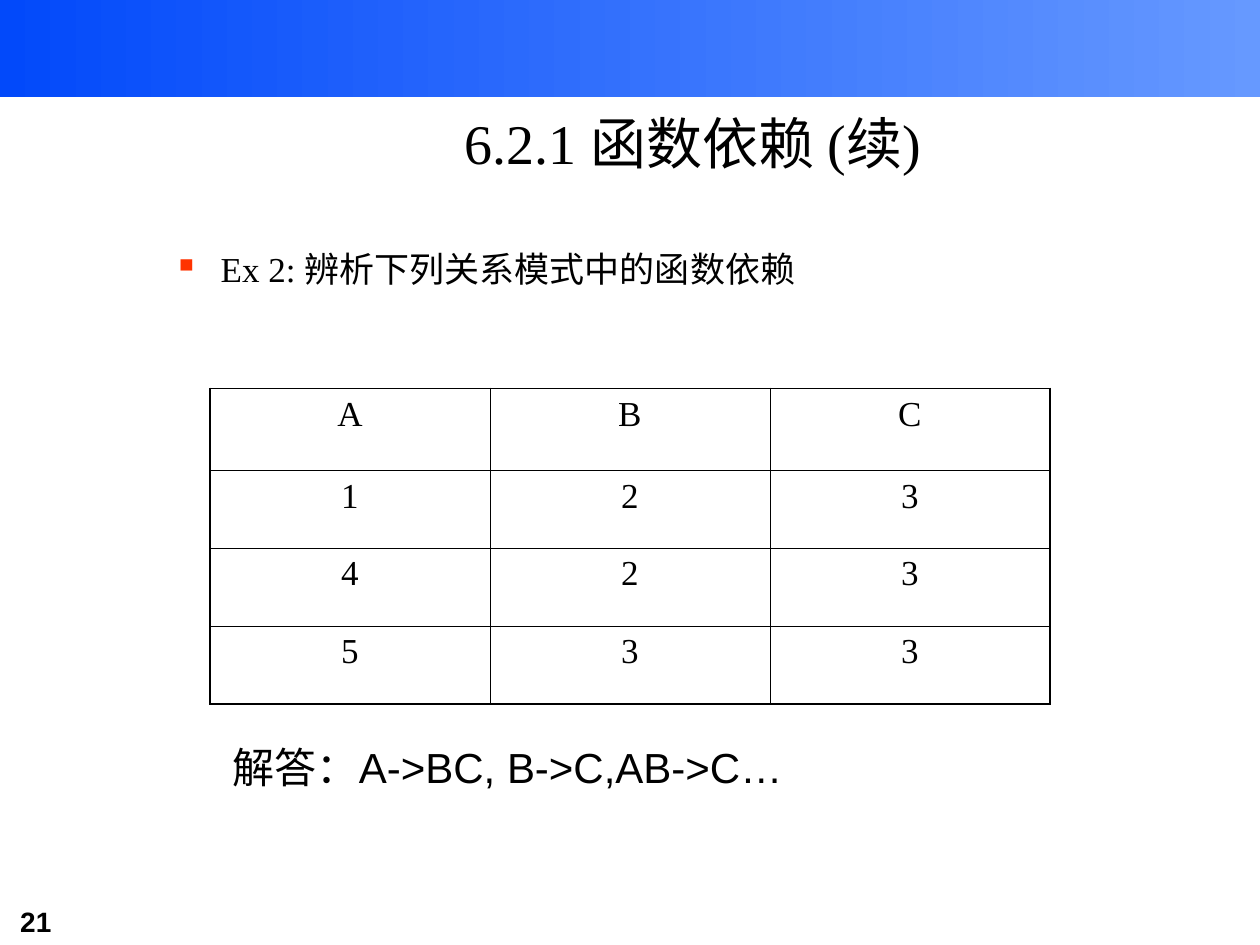
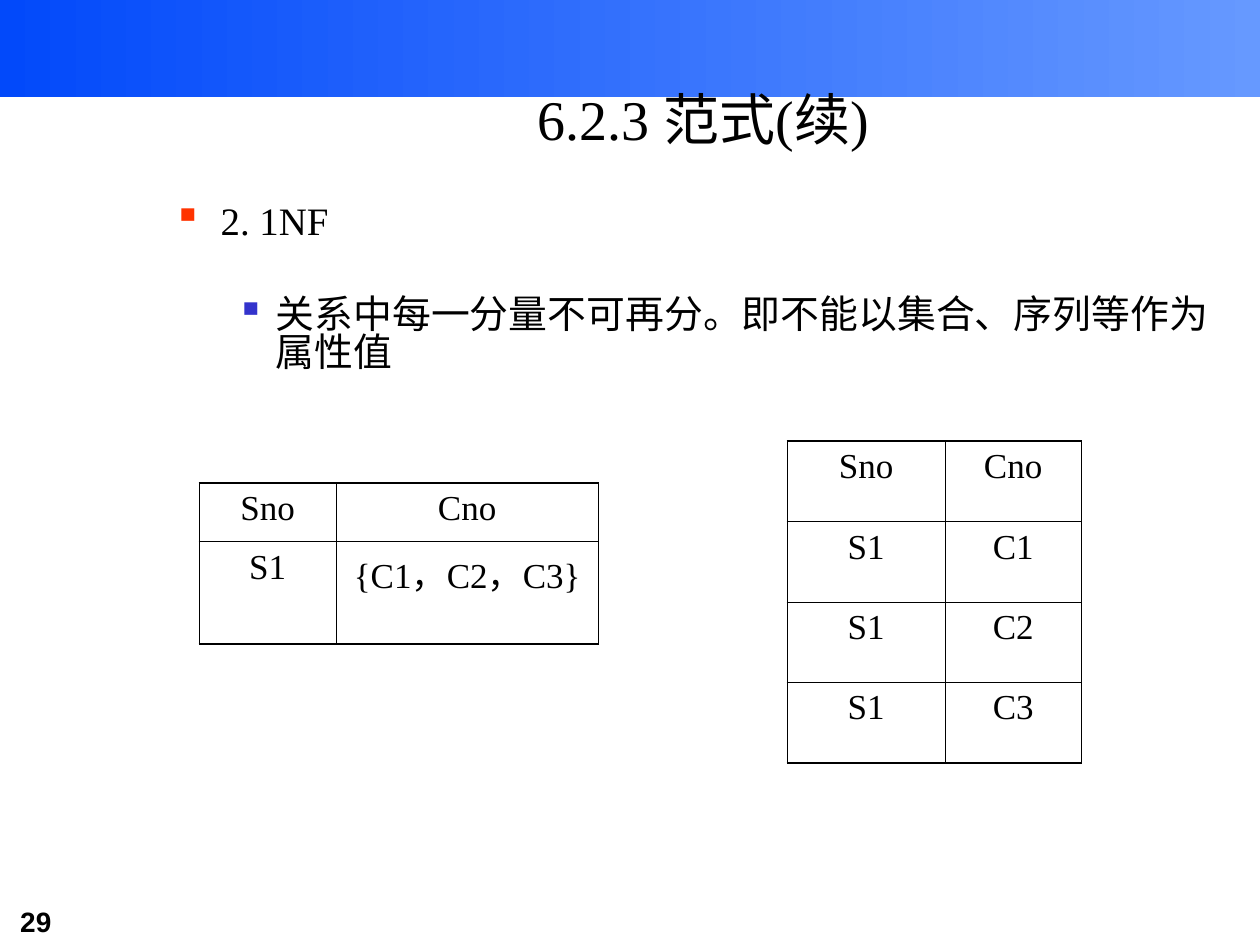
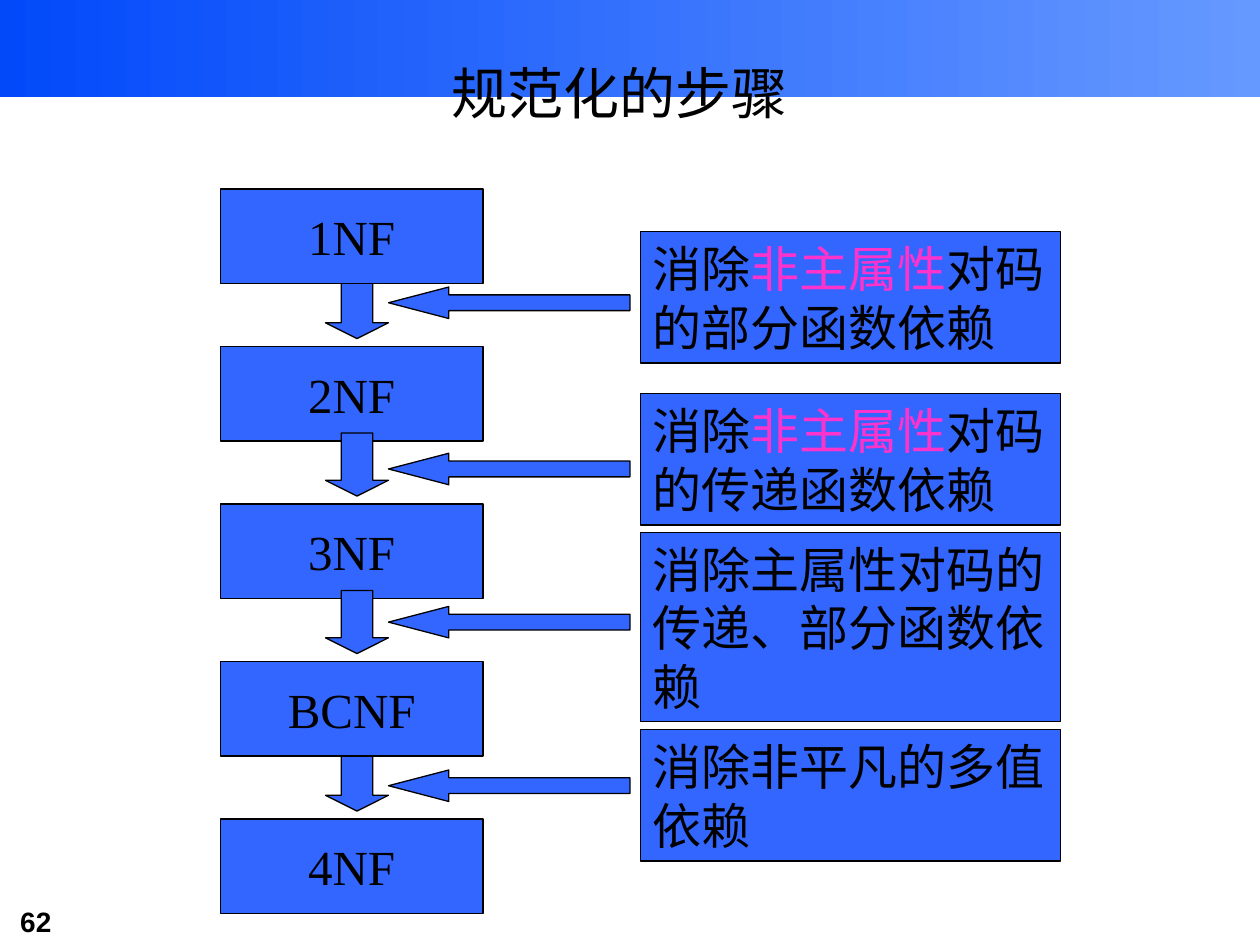
from dataclasses import dataclass

from lxml import etree
from pptx import Presentation
from pptx.dml.color import RGBColor
from pptx.enum.shapes import MSO_SHAPE
from pptx.enum.text import MSO_ANCHOR, MSO_AUTO_SIZE, PP_ALIGN
from pptx.oxml.ns import qn
from pptx.util import Pt

RECT = MSO_SHAPE.RECTANGLE
DOWN = MSO_SHAPE.DOWN_ARROW
LEFT = MSO_SHAPE.LEFT_ARROW
CENTER = PP_ALIGN.CENTER
START = PP_ALIGN.LEFT
TOP = MSO_ANCHOR.TOP
MIDDLE = MSO_ANCHOR.MIDDLE
FIXED = MSO_AUTO_SIZE.NONE


@dataclass(frozen=True)
class Theme:
    serif: str = "Times New Roman"
    sans: str = "Arial"
    ink: str = "000000"
    dark: str = "0249FA"
    light: str = "6699FF"
    block: str = "3366FF"
    accent: str = "FF33CC"
    marks: tuple = ("FF3300", "3333CC")
    title: float = 32
    step: float = 28
    answer: float = 24
    point: float = 22.2
    body: float = 20
    number: float = 16
    edge: float = 1.08
    grid: float = 0.45
    line: float = 0.75


T = Theme()


def put(target, values):
    for name, value in values.items():
        setattr(target, name, value)


def rgb(code):
    return RGBColor.from_string(code)


def place(shape, box):
    names = ("left", "top", "width", "height")
    put(shape, {name: Pt(value) for name, value in zip(names, box)})


def write(para, runs, size, form=None, bold=False):
    put(para, form or {})
    if isinstance(runs, str):
        runs = [(runs, {})]
    for words, change in runs:
        run = para.add_run()
        run.text = words
        look = {"name": T.serif, "size": Pt(size), "bold": bold}
        put(run.font, look | {k: v for k, v in change.items() if k != "color"})
        run.font.color.rgb = rgb(change.get("color", T.ink))


def add_text(slide, box):
    shape = slide.shapes.add_textbox(*map(Pt, box))
    put(shape.text_frame, {"word_wrap": True, "auto_size": FIXED})
    return shape.text_frame


def add_band(prs, slide):
    band = slide.shapes.add_shape(RECT, 0, 0, prs.slide_width, Pt(55.5))
    band.shadow.inherit = False
    band.line.fill.background()
    band.fill.gradient()
    band.fill.gradient_angle = 180
    for stop, code in zip(band.fill.gradient_stops, (T.light, T.dark)):
        stop.color.rgb = rgb(code)
    prs.slide_master.shapes.element.insert(2, band.element)


def add_page(prs, title, box, number, anchor=MIDDLE):
    slide = prs.slides.add_slide(prs.slide_layouts[5])
    head = slide.shapes.title
    place(head, box)
    put(head.text_frame, {"word_wrap": True, "auto_size": FIXED,
                          "vertical_anchor": anchor})
    write(head.text_frame.paragraphs[0], title, T.title, {"alignment": CENTER})
    foot = add_text(slide, (4.5, 513.5, 92, 26.5))
    write(foot.paragraphs[0], [(number, {"name": T.sans})], T.number, bold=True)
    return slide


def add_mark(para, margin, hang, color):
    props = para._p.get_or_add_pPr()
    props.set("marL", str(Pt(margin)))
    props.set("indent", str(-Pt(hang)))
    tint = etree.SubElement(props, qn("a:buClr"))
    etree.SubElement(tint, qn("a:srgbClr"), val=color)
    etree.SubElement(props, qn("a:buChar"), char="▪")


def add_list(slide, box, lines, size, form=None, gap=0):
    frame = add_text(slide, box)
    levels = zip(lines, ((27, 27), (58.5, 22.5)), T.marks)
    for i, (words, (margin, hang), color) in enumerate(levels):
        para = frame.add_paragraph() if i else frame.paragraphs[0]
        add_mark(para, margin, hang, color)
        extra = {"level": i, "space_before": Pt(gap)} if i else {}
        write(para, words, size, (form or {}) | extra)


def set_edges(cell, outer):
    props = cell._tc.get_or_add_tcPr()
    for i, (side, edge) in enumerate(outer.items()):
        width = Pt(T.edge if edge else T.grid)
        line = etree.Element(qn(f"a:{side}"), w=str(width))
        fill = etree.SubElement(line, qn("a:solidFill"))
        etree.SubElement(fill, qn("a:srgbClr"), val=T.ink)
        props.insert(i, line)


def add_grid(slide, left, top, cols, rows, data):
    box = (left, top, sum(cols), sum(rows))
    frame = slide.shapes.add_table(len(rows), len(cols), *map(Pt, box))
    table = frame.table
    put(table, {"first_row": False, "horz_banding": False})
    for col, width in zip(table.columns, cols):
        col.width = Pt(width)
    for row, height in zip(table.rows, rows):
        row.height = Pt(height)
    for r, line in enumerate(data):
        for c, words in enumerate(line):
            cell = table.cell(r, c)
            cell.fill.background()
            set_edges(cell, {"lnL": c == 0, "lnR": c == len(cols) - 1,
                             "lnT": r == 0, "lnB": r == len(rows) - 1})
            write(cell.text_frame.paragraphs[0], words, T.body,
                  {"alignment": CENTER})


def add_block(slide, kind, box, runs=None, align=CENTER, wrap=True, bends=()):
    shape = slide.shapes.add_shape(kind, *map(Pt, box))
    shape.shadow.inherit = False
    shape.fill.solid()
    shape.fill.fore_color.rgb = rgb(T.block)
    shape.line.color.rgb = rgb(T.ink)
    shape.line.width = Pt(T.line)
    for i, bend in enumerate(bends):
        shape.adjustments[i] = bend
    if runs:
        put(shape.text_frame, {"word_wrap": wrap, "vertical_anchor": MIDDLE})
        write(shape.text_frame.paragraphs[0], runs, T.step, {"alignment": align})


def add_steps(slide, left, top, names):
    pitch = 90

    def drop(i):
        box = (left + 60, top + 49.5 + i * pitch, 36, 36)
        add_block(slide, DOWN, box, bends=(0.5, 0.25))

    for i in (0, 3):
        drop(i)
    for i, name in enumerate(names):
        box = (left, top + i * pitch, 150, 54)
        add_block(slide, RECT, box, name, wrap=False)
    for i in (1, 2):
        drop(i)


def add_notes(slide, left, top, notes):
    for drop, height, tip, runs in notes:
        add_block(slide, RECT, (left, top + drop, 240, height), runs, START)
        add_block(slide, LEFT, (left - 144, top + tip, 138, 18),
                  bends=(0.5, 1.916))


def build_keys(prs):
    slide = add_page(prs, "6.2.1 函数依赖 (续)", (90, 58.5, 612, 45.5), "21")
    add_band(prs, slide)
    add_list(slide, (92, 138, 612, 66), ["Ex 2: 辨析下列关系模式中的函数依赖"],
             T.body)
    add_grid(slide, 120, 222, [160] * 3, [46.8] + [44.5] * 3,
             ["ABC", "123", "423", "533"])
    reply = add_text(slide, (126, 420, 444, 36))
    write(reply.paragraphs[0],
          [("解答：", {}), ("A->BC, B->C,AB->C…", {"name": T.sans})], T.answer)


def build_form(prs):
    slide = add_page(prs, "6.2.3 范式(续)", (96, 44.5, 612, 84), "29", TOP)
    add_list(slide, (92, 114, 626, 108),
             ["2. 1NF", "关系中每一分量不可再分。即不能以集合、序列等作为属性值"],
             T.point, {"line_spacing": 0.8}, 32)
    head = ("Sno", "Cno")
    add_grid(slide, 114, 276, [78, 150], [33.5, 55.5],
             [head, ("S1", "{C1，C2，C3}")])
    add_grid(slide, 450, 252, [90, 78], [46] * 4,
             [head] + [("S1", f"C{i}") for i in range(1, 4)])


def build_steps(prs):
    slide = add_page(prs, "规范化的步骤", (48, 30, 612, 45.5), "62")
    add_steps(slide, 126, 108, ("1NF", "2NF", "3NF", "BCNF", "4NF"))

    def stress(tail):
        return [("消除", {}), ("非主属性", {"color": T.accent}), (tail, {})]

    add_notes(slide, 366, 132.5, (
        (0, 75, 31.5, stress("对码的部分函数依赖")),
        (92.5, 75, 126.5, stress("对码的传递函数依赖")),
        (172, 108, 214, "消除主属性对码的传递、部分函数依赖"),
        (284.5, 75, 307.5, "消除非平凡的多值依赖"),
    ))


def main():
    prs = Presentation()
    put(prs, {"slide_width": Pt(720), "slide_height": Pt(540)})
    for build in (build_keys, build_form, build_steps):
        build(prs)
    prs.save("out.pptx")


if __name__ == "__main__":
    main()
